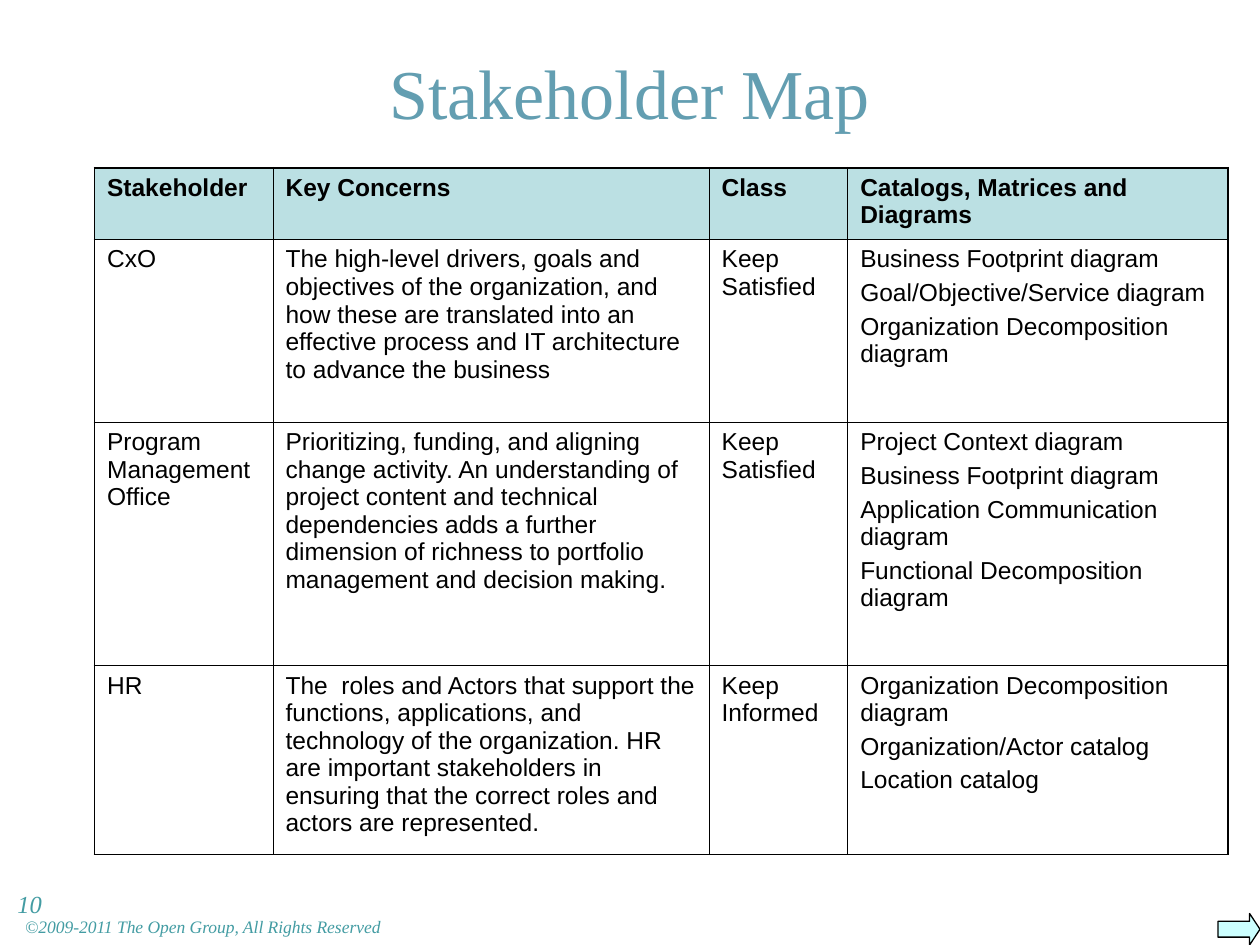
"""Build the stakeholder map slide."""
from lxml import etree
from pptx import Presentation
from pptx.dml.color import RGBColor
from pptx.enum.shapes import MSO_SHAPE
from pptx.enum.text import MSO_ANCHOR, PP_ALIGN
from pptx.oxml.ns import qn
from pptx.util import Pt

ARROW = MSO_SHAPE.RIGHT_ARROW
TOP, MIDDLE = MSO_ANCHOR.TOP, MSO_ANCHOR.MIDDLE
LEFT, CENTER = PP_ALIGN.LEFT, PP_ALIGN.CENTER
SANS, SERIF = "Arial", "Times New Roman"

COLORS = {
    "title": "639EB1", "foot": "439CA3", "head": "BBE0E3",
    "body": "FFFFFF", "ink": "000000", "arrow": "CCFFFF",
}
TITLE = "Stakeholder Map"
NOTE = "©2009-2011 The Open Group, All Rights Reserved"
PAGE = "10"
ROWS = [
    ("Stakeholder", "Key Concerns", "Class", ["Catalogs, Matrices and Diagrams"]),
    ("CxO",
     "The high-level drivers, goals and objectives of the organization, and how "
     "these are translated into an effective process and IT architecture to "
     "advance the business",
     "Keep Satisfied",
     ["Business Footprint diagram", "Goal/Objective/Service diagram",
      "Organization Decomposition diagram"]),
    ("Program Management Office",
     "Prioritizing, funding, and aligning change activity. An understanding of "
     "project content and technical dependencies adds a further dimension of "
     "richness to portfolio management and decision making.",
     "Keep Satisfied",
     ["Project Context diagram", "Business Footprint diagram",
      "Application Communication diagram", "Functional Decomposition diagram"]),
    ("HR",
     "The  roles and Actors that support the functions, applications, and "
     "technology of the organization. HR are important stakeholders in ensuring "
     "that the correct roles and actors are represented.",
     "Keep Informed",
     ["Organization Decomposition diagram", "Organization/Actor catalog",
      "Location catalog"]),
]
WIDTHS = [102, 249.2, 79.2, 217.4]
HEIGHTS = [41, 104.5, 139, 108]
THIN, THICK = 0.45, 1.08


def color(name):
    return RGBColor.from_string(COLORS[name])


def write(frame, text, size=14, font=SANS, ink="ink", bold=False,
          italic=False, align=LEFT, gap=0):
    lines = [text] if isinstance(text, str) else text
    frame.word_wrap = True
    for i, line in enumerate(lines):
        para = frame.add_paragraph() if i else frame.paragraphs[0]
        para.alignment = align
        para.space_before = Pt(gap if i else 0)
        run = para.add_run()
        run.text = line
        face = run.font
        face.name, face.size = font, Pt(size)
        face.bold, face.italic = bold, italic
        face.color.rgb = color(ink)


def label(slide, box, text, anchor=TOP, inset=7.2, **style):
    frame = slide.shapes.add_textbox(*map(Pt, box)).text_frame
    frame.vertical_anchor = anchor
    frame.margin_left = Pt(inset)
    write(frame, text, **style)


def border(cell, **sides):
    props = cell._tc.get_or_add_tcPr()
    for side, width in sides.items():
        line = etree.SubElement(props, qn(f"a:ln{side}"), w=str(Pt(width)))
        fill = etree.SubElement(line, qn("a:solidFill"))
        etree.SubElement(fill, qn("a:srgbClr"), val=COLORS["ink"])


def grid(slide):
    box = map(Pt, (54, 95.8, sum(WIDTHS), sum(HEIGHTS)))
    table = slide.shapes.add_table(len(ROWS), len(WIDTHS), *box).table
    for col, width in zip(table.columns, WIDTHS):
        col.width = Pt(width)
    for row, height in zip(table.rows, HEIGHTS):
        row.height = Pt(height)
    last, end = len(ROWS) - 1, len(WIDTHS) - 1
    for r, row in enumerate(ROWS):
        for c, text in enumerate(row):
            cell = table.cell(r, c)
            border(cell,
                   L=THIN if c else THICK, R=THICK if c == end else THIN,
                   T=THIN if r else THICK, B=THICK if r == last else THIN)
            cell.fill.solid()
            cell.fill.fore_color.rgb = color("body" if r else "head")
            write(cell.text_frame, text, bold=r == 0, gap=3.5)


def arrow(slide):
    shape = slide.shapes.add_shape(ARROW, *map(Pt, (696, 522, 24, 18)))
    shape.adjustments[0], shape.adjustments[1] = 0.5, 0.33
    shape.shadow.inherit = False
    shape.fill.solid()
    shape.fill.fore_color.rgb = color("arrow")
    shape.line.color.rgb = color("ink")
    shape.line.width = Pt(0.75)


def main():
    deck = Presentation()
    deck.slide_width, deck.slide_height = Pt(720), Pt(540)
    slide = deck.slides.add_slide(deck.slide_layouts[6])
    label(slide, (19.5, -0.7, 680.4, 106.5), TITLE, anchor=MIDDLE,
          size=40, font=SERIF, ink="title", align=CENTER)
    grid(slide)
    arrow(slide)
    foot = {"font": SERIF, "ink": "foot", "italic": True}
    label(slide, (14.4, 520, 527, 17.3), NOTE, inset=0, size=10, **foot)
    label(slide, (2.9, 504.7, 85, 37.4), PAGE, **foot)
    deck.save("out.pptx")


if __name__ == "__main__":
    main()
